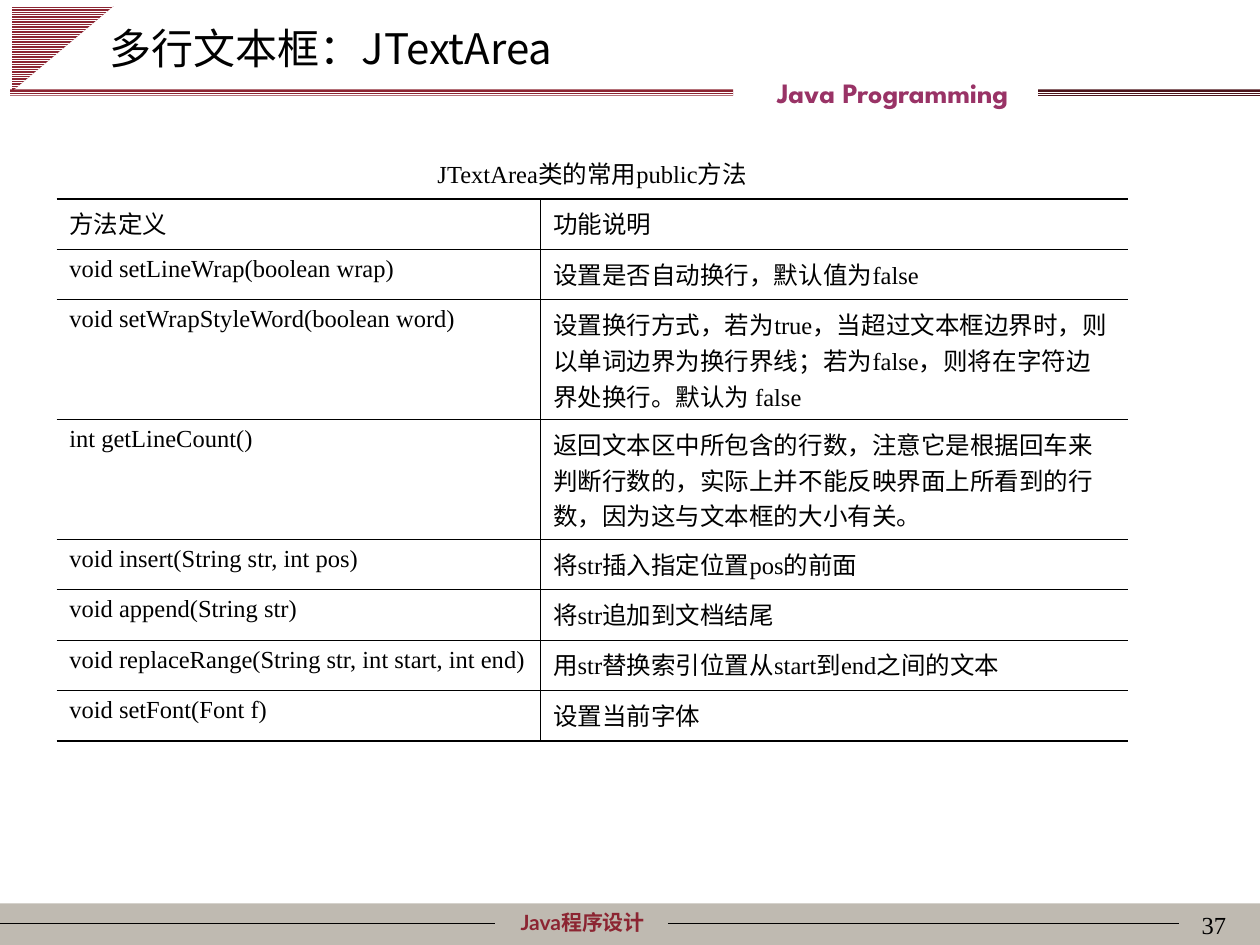
from lxml import etree
from pptx import Presentation
from pptx.dml.color import RGBColor
from pptx.enum.dml import MSO_PATTERN
from pptx.enum.shapes import MSO_CONNECTOR, MSO_SHAPE
from pptx.enum.text import MSO_ANCHOR, PP_ALIGN
from pptx.oxml.ns import qn
from pptx.util import Inches, Pt

LINES = MSO_PATTERN.LIGHT_HORIZONTAL
STRAIGHT = MSO_CONNECTOR.STRAIGHT
RECTANGLE, RIGHT_TRIANGLE = MSO_SHAPE.RECTANGLE, MSO_SHAPE.RIGHT_TRIANGLE
TOP, MIDDLE = MSO_ANCHOR.TOP, MSO_ANCHOR.MIDDLE
LEFT, CENTER, RIGHT = PP_ALIGN.LEFT, PP_ALIGN.CENTER, PP_ALIGN.RIGHT

BLACK, WHITE, RED, DARK_RED = "000000", "FFFFFF", "8C2532", "4C141B"
PURPLE, STONE = "993366", "BFBAB1"
SANS, SERIF = "Noto Sans CJK SC", "Times New Roman"

CAPTION = "JTextArea类的常用public方法"
METHODS = [
    ("方法定义", "功能说明"),
    ("void setLineWrap(boolean wrap)", "设置是否自动换行，默认值为false"),
    ("void setWrapStyleWord(boolean word)",
     "设置换行方式，若为true，当超过文本框边界时，则以单词边界为换行界线；"
     "若为false，则将在字符边界处换行。默认为 false"),
    ("int getLineCount()",
     "返回文本区中所包含的行数，注意它是根据回车来判断行数的，"
     "实际上并不能反映界面上所看到的行数，因为这与文本框的大小有关。"),
    ("void insert(String str, int pos)", "将str插入指定位置pos的前面"),
    ("void append(String str)", "将str追加到文档结尾"),
    ("void replaceRange(String str, int start, int end)",
     "用str替换索引位置从start到end之间的文本"),
    ("void setFont(Font f)", "设置当前字体"),
]
COLUMN_WIDTHS = [3.84, 4.66]
ONE_LINE, THREE_LINES = 0.4, 0.95
ROW_HEIGHTS = [ONE_LINE] * 3 + [THREE_LINES] * 2 + [ONE_LINE] * 4


def color(value):
    return RGBColor.from_string(value)


def write(frame, text, size, font, fill=BLACK, bold=False, align=LEFT, anchor=TOP):
    frame.word_wrap = True
    frame.vertical_anchor = anchor
    para = frame.paragraphs[0]
    para.alignment = align
    para.space_before = Pt(0)
    span = para.add_run()
    span.text = text
    span.font.size = Pt(size)
    span.font.name = font
    span.font.bold = bold
    span.font.color.rgb = color(fill)
    east_asian = etree.SubElement(span.font._element, qn("a:ea"))
    east_asian.set("typeface", SANS)


def add_label(page, box, text, *style, **options):
    label = page.shapes.add_textbox(*map(Inches, box))
    write(label.text_frame, text, *style, **options)


def add_plain_shape(page, kind, box, fill, pattern=None):
    """Add an outline-free shape, striped with white when a pattern is given."""
    shape = page.shapes.add_shape(kind, *map(Inches, box))
    shape.shadow.inherit = False
    shape.line.fill.background()
    if pattern is None:
        shape.fill.solid()
        shape.fill.fore_color.rgb = color(fill)
    else:
        shape.fill.patterned()
        shape.fill.pattern = pattern
        shape.fill.fore_color.rgb = color(WHITE)
        shape.fill.back_color.rgb = color(fill)
    return shape


def add_rule(page, start, end, y):
    rule = page.shapes.add_connector(
        STRAIGHT, Inches(start), Inches(y), Inches(end), Inches(y))
    rule.line.color.rgb = color(BLACK)
    rule.line.width = Pt(0.75)
    etree.SubElement(rule._element.spPr, qn("a:effectLst"))


def add_footer(page, left, top, width, height):
    add_plain_shape(page, RECTANGLE, (left, top, width, height), STONE)
    add_label(page, (left + 3.62, top, 2.01, 0.3), "Java程序设计",
              12, "Lato", RED, bold=True, align=CENTER)
    for start, end in ((0, 3.93), (5.3, 9.36)):
        add_rule(page, left + start, left + end, top + 0.16)
    add_label(page, (left + 7.75, top, 2.08, 0.5), "37", 14, SERIF, align=RIGHT)


def add_header(page, left, top, width):
    triangle = add_plain_shape(
        page, RIGHT_TRIANGLE, (left + 0.16, top - 0.02, 0.68, 0.81), RED, LINES)
    triangle.rotation = 90
    band_top = top + 0.71
    add_plain_shape(page, RECTANGLE, (left + width - 1.76, band_top, 1.76, 0.06),
                    DARK_RED, LINES)
    add_plain_shape(page, RECTANGLE, (left + 0.08, band_top, 5.74, 0.05), RED, LINES)
    add_label(page, (left + 5.08, top + 0.55, 4.01, 0.37), "Java Programming",
              16, "League Spartan", PURPLE, bold=True, align=CENTER)


def place_title(page, left, top, width, height):
    title = page.shapes.title
    title.left, title.top = Inches(left), Inches(top)
    title.width, title.height = Inches(width), Inches(height)
    write(title.text_frame, "多行文本框：JTextArea", 24, SANS, anchor=MIDDLE)


def set_borders(cell, **widths):
    """Draw the named sides (L, R, T, B) in points and hide the others."""
    properties = cell._tc.get_or_add_tcPr()
    for side in "LRTB":
        border = etree.SubElement(properties, qn(f"a:ln{side}"))
        if side in widths:
            border.set("w", str(Pt(widths[side])))
            fill = etree.SubElement(border, qn("a:solidFill"))
            etree.SubElement(fill, qn("a:srgbClr")).set("val", BLACK)
        else:
            etree.SubElement(border, qn("a:noFill"))


def add_method_table(page, left, top, width, height):
    rows = [(CAPTION, "")] + METHODS
    table = page.shapes.add_table(
        len(rows), 2, *map(Inches, (left, top, width, height))).table
    table.first_row = table.horz_banding = False
    for column, size in zip(table.columns, COLUMN_WIDTHS):
        column.width = Inches(size)
    for row, size in zip(table.rows, ROW_HEIGHTS):
        row.height = Inches(size)
    table.cell(0, 0).merge(table.cell(0, 1))

    heavy_edges = {1, 2, len(rows)}
    for r, texts in enumerate(rows):
        for c, text in enumerate(texts):
            cell = table.cell(r, c)
            above, below = (1 if edge in heavy_edges else 0.75 for edge in (r, r + 1))
            if r == 0:
                set_borders(cell, B=below)
            else:
                set_borders(cell, T=above, B=below, **{"RL"[c]: 0.75})
            cell.fill.background()
            if text:
                write(cell.text_frame, text, 14, SERIF,
                      align=CENTER if r == 0 else LEFT)


def main():
    deck = Presentation()
    deck.slide_width, deck.slide_height = Inches(10), Inches(7.5)
    page = deck.slides.add_slide(deck.slide_layouts[5])
    page.background.fill.solid()
    page.background.fill.fore_color.rgb = color(WHITE)
    add_footer(page, 0, 7.17, 10, 0.33)
    add_header(page, 0, 0, 10)
    place_title(page, 0.77, 0.13, 8.5, 0.5)
    add_method_table(page, 0.45, 1.18, sum(COLUMN_WIDTHS), sum(ROW_HEIGHTS))
    deck.save("out.pptx")


if __name__ == "__main__":
    main()
